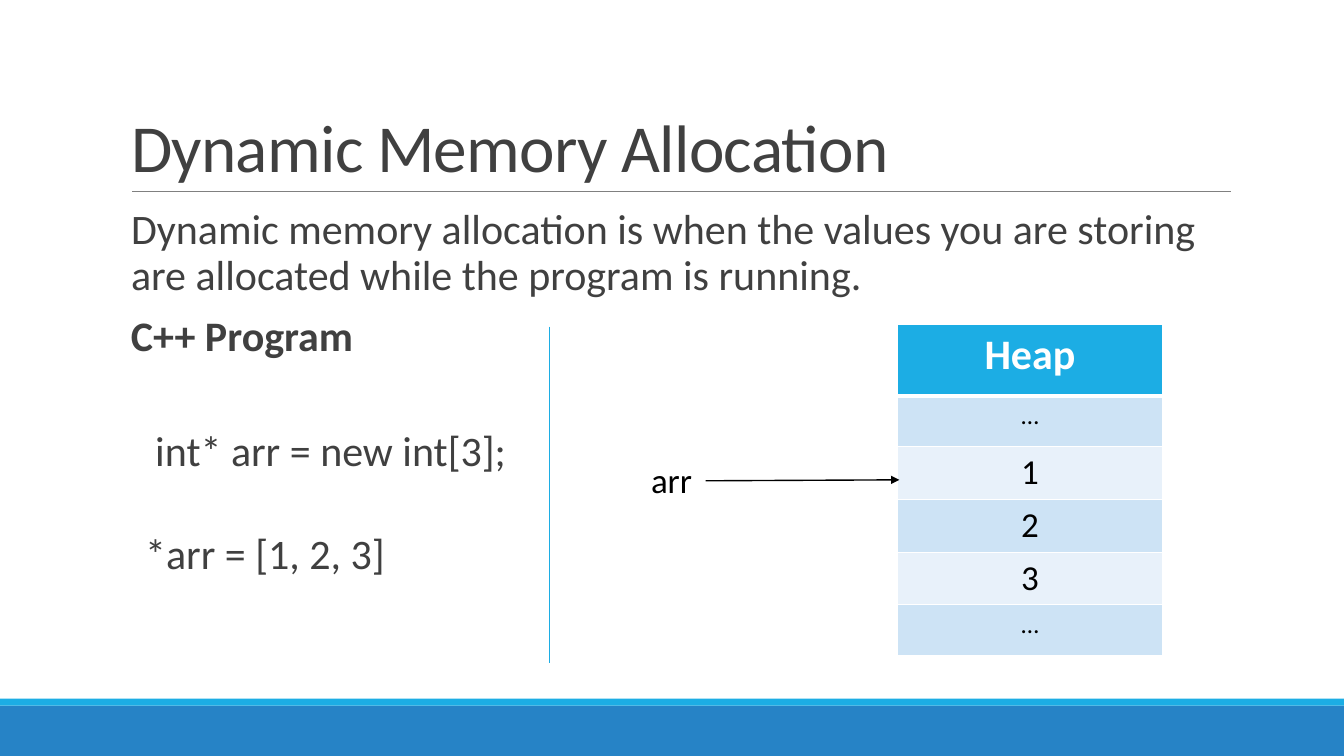
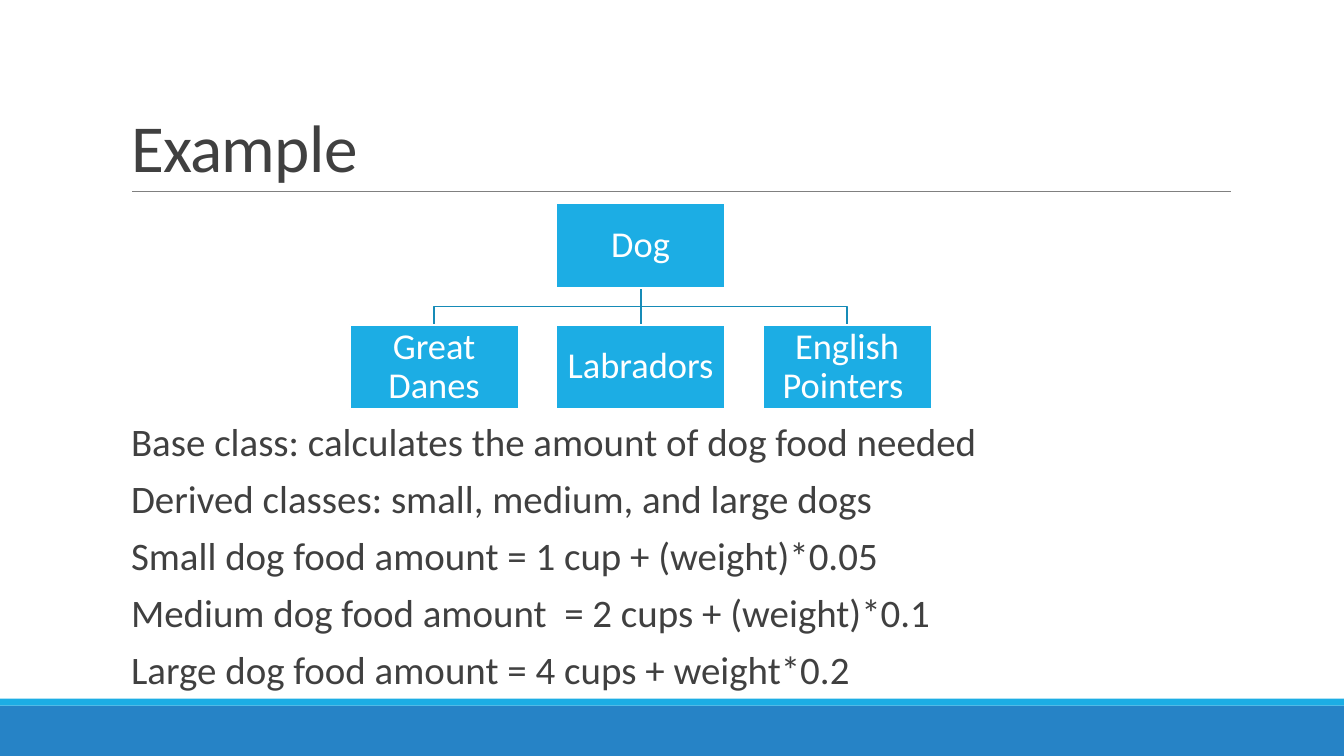
import lxml.etree
import pptx
import pptx.dml.color
import pptx.enum.shapes
import pptx.enum.text
import pptx.oxml.ns
import pptx.util

RGBColor = pptx.dml.color.RGBColor
Pt = pptx.util.Pt
ALIGN = pptx.enum.text.PP_ALIGN
ANCHOR = pptx.enum.text.MSO_ANCHOR
RECT = pptx.enum.shapes.MSO_SHAPE.RECTANGLE
STRAIGHT = pptx.enum.shapes.MSO_CONNECTOR.STRAIGHT
qn = pptx.oxml.ns.qn

WIDTH, HEIGHT = pptx.util.Inches(13.33), pptx.util.Inches(7.5)
FONT = "Calibri"
WHITE = RGBColor(0xFF, 0xFF, 0xFF)
BLACK = RGBColor(0, 0, 0)
INK = RGBColor(0x40, 0x40, 0x40)
RULE = RGBColor(0x80, 0x80, 0x80)
SKY = RGBColor(0x1C, 0xAD, 0xE4)
BLUE = RGBColor(0x26, 0x83, 0xC6)
BRANCH = RGBColor(0x16, 0x8B, 0xB7)
ROW_DARK = RGBColor(0xCD, 0xE3, 0xF5)
ROW_LIGHT = RGBColor(0xE8, 0xF1, 0xFA)


def share(left, top, width, height):
    """Turn percentages of the slide size into a box of lengths."""
    return (int(WIDTH * left / 100), int(HEIGHT * top / 100),
            int(WIDTH * width / 100), int(HEIGHT * height / 100))


def place(shape, box):
    """Move and size a shape to a box."""
    shape.left, shape.top, shape.width, shape.height = box


def add_run(p, text, size, color, bold=False):
    """Add one formatted run to a paragraph."""
    r = p.add_run()
    r.text = text
    r.font.name, r.font.size, r.font.bold = FONT, Pt(size), bold
    r.font.color.rgb = color
    return r


def add_rect(s, box, color):
    """Draw a plain filled rectangle."""
    sp = s.shapes.add_shape(RECT, *box)
    sp.shadow.inherit = False
    sp.fill.solid()
    sp.fill.fore_color.rgb = color
    sp.line.fill.background()
    return sp


def add_line(s, start, end, color, width, arrow=False):
    """Draw a straight line, with an arrowhead at its end if asked."""
    line = s.shapes.add_connector(STRAIGHT, *start, *end)
    line.line.color.rgb = color
    line.line.width = Pt(width)
    props = line.element.spPr
    if arrow:
        lxml.etree.SubElement(props.find(qn("a:ln")), qn("a:tailEnd"), type="triangle")
    lxml.etree.SubElement(props, qn("a:effectLst"))
    return line


def write_lines(shape, lines, size, spacing=0.9, indent=0.1, bold=False):
    """Fill a text frame with unbulleted body paragraphs."""
    tf = shape.text_frame
    tf.word_wrap = True
    tf.auto_size = pptx.enum.text.MSO_AUTO_SIZE.NONE
    tf.margin_left = tf.margin_right = 0
    for i, text in enumerate(lines):
        p = tf.add_paragraph() if i else tf.paragraphs[0]
        p.line_spacing, p.space_before, p.space_after = spacing, Pt(12), Pt(2)
        props = p._p.get_or_add_pPr()
        props.set("marL", str(pptx.util.Inches(indent)))
        props.set("indent", "0")
        lxml.etree.SubElement(props, qn("a:buNone"))
        add_run(p, text, size, INK, bold)


def set_up_layout(s):
    """Give the slide's layout its title place, rule and bottom bands."""
    layout = s.slide_layout
    for ph in list(layout.placeholders):
        if ph.placeholder_format.idx >= 10:
            ph.element.getparent().remove(ph.element)
    place(layout.placeholders[0], share(9, 4.13, 82.5, 21.2))
    shared = [
        add_rect(s, share(0, 93.33, 100, 6.67), BLUE),
        add_rect(s, share(0, 92.4, 100, 0.93), SKY),
        add_line(s, share(9.83, 25.33, 0, 0)[:2], share(91.6, 25.33, 0, 0)[:2], RULE, 0.5),
    ]
    for shape in shared:
        layout.shapes.element.append(shape.element)


def add_title(s, text):
    """Write the slide title in the shared style."""
    tf = s.shapes.title.text_frame
    tf.word_wrap = True
    tf.auto_size = pptx.enum.text.MSO_AUTO_SIZE.NONE
    tf.vertical_anchor = ANCHOR.BOTTOM
    p = tf.paragraphs[0]
    p.alignment, p.line_spacing = ALIGN.LEFT, 0.85
    r = add_run(p, text, 48, INK)
    r._r.get_or_add_rPr().set("spc", "-50")


def set_borders(cell, bottom):
    """Give a cell white borders, the lower one of a chosen width."""
    props = cell._tc.get_or_add_tcPr()
    for i, (side, width) in enumerate((("L", 1), ("R", 1), ("T", 1), ("B", bottom))):
        ln = lxml.etree.Element(qn("a:ln" + side), w=str(Pt(width)))
        fill = lxml.etree.SubElement(ln, qn("a:solidFill"))
        lxml.etree.SubElement(fill, qn("a:srgbClr"), val=str(WHITE))
        props.insert(i, ln)


def add_heap(s, box, heading, values):
    """Draw the heap as a one-column table."""
    table = s.shapes.add_table(len(values) + 1, 1, *box).table
    head_height = int(box[3] * 0.22)
    for i, text in enumerate([heading] + values):
        head = i == 0
        table.rows[i].height = head_height if head else (box[3] - head_height) // len(values)
        cell = table.cell(i, 0)
        cell.fill.solid()
        cell.fill.fore_color.rgb = SKY if head else ROW_DARK if i % 2 else ROW_LIGHT
        set_borders(cell, 3 if head else 1)
        p = cell.text_frame.paragraphs[0]
        p.alignment = ALIGN.CENTER
        size = 30 if head else 18 if text == "…" else 25
        add_run(p, text, size, WHITE if head else BLACK, head)


def add_node(s, box, text):
    """Draw one class of the tree."""
    sp = add_rect(s, box, SKY)
    sp.line.color.rgb = WHITE
    sp.line.width = Pt(1.25)
    tf = sp.text_frame
    tf.word_wrap = True
    tf.vertical_anchor = ANCHOR.MIDDLE
    tf.margin_left = tf.margin_right = tf.margin_top = tf.margin_bottom = pptx.util.Inches(0.02)
    p = tf.paragraphs[0]
    p.alignment, p.line_spacing = ALIGN.CENTER, 0.9
    add_run(p, text, 26, WHITE)


def add_tree(s, box, parent, children):
    """Draw a parent class above an even row of derived classes."""
    left, top, width, height = box
    node_w, node_h = int(width * 0.29), int(height * 0.41)
    step = (width - node_w) // (len(children) - 1)
    center = left + width // 2
    child_top = top + height - node_h
    middle = top + height // 2
    for i, text in enumerate(children):
        x = left + i * step
        target = x + node_w // 2
        if abs(target - center) < Pt(1):
            add_line(s, (center, top + node_h), (center, child_top), BRANCH, 1.25)
        else:
            path = s.shapes.build_freeform(center, top + node_h)
            path.add_line_segments(
                [(center, middle), (target, middle), (target, child_top)], close=False)
            elbow = path.convert_to_shape()
            elbow.shadow.inherit = False
            elbow.fill.background()
            elbow.line.color.rgb = BRANCH
            elbow.line.width = Pt(1.25)
        add_node(s, (x, child_top, node_w, node_h), text)
    add_node(s, (center - node_w // 2, top, node_w, node_h), parent)


def build_memory_slide(s):
    """Explain dynamic allocation with code beside the heap."""
    add_title(s, "Dynamic Memory Allocation")
    body = s.placeholders[1]
    place(body, share(9, 26.93, 82.5, 58.67))
    write_lines(body, ["Dynamic memory allocation is when the values you are storing "
                       "are allocated while the program is running. "], 30)
    code = [
        ("C++ Program", share(9, 41.07, 25.2, 12.13), 0.1, True),
        ("int* arr = new int[3];", share(10.8, 56.27, 29.1, 12.13), 0.1, False),
        ("*arr = [1, 2, 3]", share(10.8, 69.87, 29.1, 24.8), 0, False),
    ]
    for text, box, indent, bold in code:
        write_lines(s.shapes.add_textbox(*box), [text], 30, indent=indent, bold=bold)
    add_line(s, share(40.88, 43.2, 0, 0)[:2], share(40.88, 87.73, 0, 0)[:2], SKY, 1)
    add_heap(s, share(66.77, 42.93, 19.73, 42.93), "Heap", ["…", "1", "2", "3", "…"])
    label = s.shapes.add_textbox(*share(47.7, 60, 4.8, 7.2))
    label.text_frame.word_wrap = False
    add_run(label.text_frame.paragraphs[0], "arr", 25, BLACK)
    add_line(s, share(52.5, 63.6, 0, 0)[:2], share(66.92, 63.47, 0, 0)[:2], BLACK, 1, True)


def build_example_slide(s):
    """Show the class tree above its food rules."""
    add_title(s, "Example")
    body = s.placeholders[1]
    place(body, share(9, 55.73, 82.5, 38.53))
    write_lines(body, [
        "Base class: calculates the amount of dog food needed",
        "Derived classes: small, medium, and large dogs",
        "Small dog food amount = 1 cup + (weight)*0.05",
        "Medium dog food amount  = 2 cups + (weight)*0.1",
        "Large dog food amount = 4 cups + weight*0.2",
    ], 27.8, spacing=0.8)
    add_tree(s, share(26.03, 26.93, 43.28, 27.2), "Dog",
             ["Great Danes", "Labradors", "English Pointers "])


prs = pptx.Presentation()
prs.slide_width, prs.slide_height = WIDTH, HEIGHT
for number, build in enumerate((build_memory_slide, build_example_slide)):
    s = prs.slides.add_slide(prs.slide_layouts[1])
    if number == 0:
        set_up_layout(s)
    build(s)
prs.save("out.pptx")
